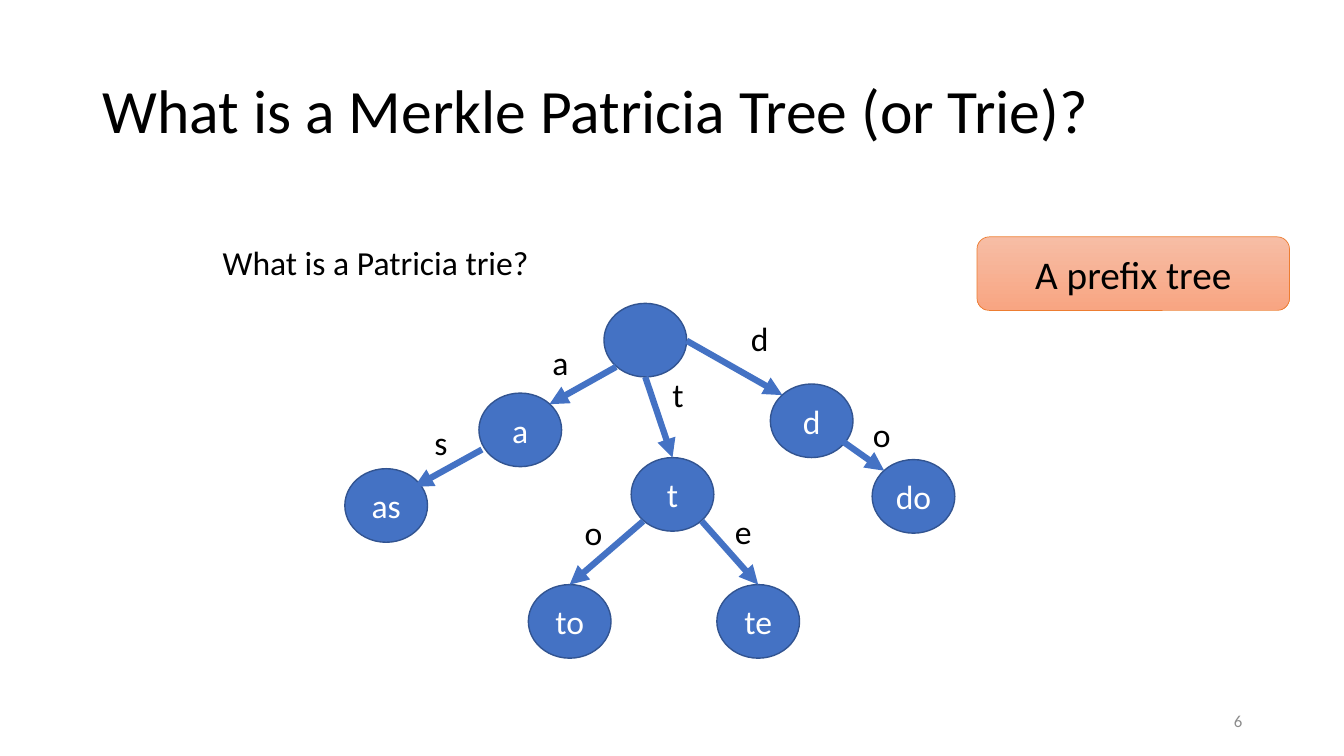
from lxml.etree import SubElement
from pptx import Presentation
from pptx.dml.color import RGBColor
from pptx.enum.shapes import MSO_CONNECTOR, MSO_SHAPE
from pptx.enum.text import MSO_ANCHOR, PP_ALIGN
from pptx.oxml.ns import qn
from pptx.util import Inches, Pt

BLUE, EDGE, BLACK, WHITE = "4472C4", "325491", "000000", "FFFFFF"
WIDE, HIGH = 0.82, 0.73

NODES = {
    "": (5.99, 3.01),
    "a": (4.75, 3.9),
    "t": (6.26, 4.54),
    "d": (7.64, 3.81),
    "as": (3.42, 4.65),
    "to": (5.24, 5.8),
    "te": (7.11, 5.8),
    "do": (8.65, 4.56),
}
SIDE_LINKS = [
    (6.11, 3.64, 5.45, 4.01),
    (6.81, 3.38, 7.76, 3.92),
    (4.78, 4.46, 4.11, 4.83),
    (8.36, 4.38, 8.77, 4.67),
]
TOP_LINKS = {"t": (6.4, 3.74), "to": (6.38, 5.17), "te": (6.96, 5.17)}
LABELS = [
    ("a", 5.38, 3.34, 0.36),
    ("t", 6.57, 3.66, 0.31),
    ("d", 7.35, 3.1, 0.38),
    ("s", 4.21, 4.14, 0.33),
    ("o", 5.7, 5.03, 0.42),
    ("e", 7.19, 5.02, 0.42),
    ("o", 8.56, 4.06, 0.38),
]


def paint(code):
    """Turn a hex string into a colour."""
    return RGBColor.from_string(code)


def write(shape, text, size=24, color=BLACK, align=PP_ALIGN.LEFT, **form):
    """Put one styled paragraph into a shape."""
    frame = shape.text_frame
    for key, value in form.items():
        setattr(frame, key, value)
    para = frame.paragraphs[0]
    para.alignment = align
    run = para.add_run()
    run.text = text
    for key, value in {"name": "Calibri", "size": Pt(size)}.items():
        setattr(run.font, key, value)
    run.font.color.rgb = paint(color)
    return para


def add_text(slide, text, left, top, width, height=0.5, **form):
    """Add a text box and return its paragraph."""
    box = slide.shapes.add_textbox(
        Inches(left), Inches(top), Inches(width), Inches(height))
    return write(box, text, **form)


def add_block(slide, kind, left, top, width, height, line, weight):
    """Add an outlined preset shape without a shadow."""
    shape = slide.shapes.add_shape(
        kind, Inches(left), Inches(top), Inches(width), Inches(height))
    shape.shadow.inherit = False
    shape.line.color.rgb = paint(line)
    shape.line.width = Pt(weight)
    return shape


def add_node(slide, text, left, top):
    """Add one round tree node."""
    node = add_block(slide, MSO_SHAPE.OVAL, left, top, WIDE, HIGH, EDGE, 1)
    node.fill.solid()
    node.fill.fore_color.rgb = paint(BLUE)
    if text:
        write(node, text, color=WHITE, align=PP_ALIGN.CENTER,
              vertical_anchor=MSO_ANCHOR.MIDDLE)
    return node


def add_arrow(slide, left, top, right, bottom):
    """Add a thick arrow between two points."""
    arrow = slide.shapes.add_connector(
        MSO_CONNECTOR.STRAIGHT,
        Inches(left), Inches(top), Inches(right), Inches(bottom))
    arrow.line.color.rgb = paint(BLUE)
    arrow.line.width = Pt(4.5)
    SubElement(arrow.line._get_or_add_ln(), qn("a:tailEnd"), type="triangle")
    SubElement(arrow._element.spPr, qn("a:effectLst"))
    return arrow


def add_badge(slide, text):
    """Add the rounded answer box with its gradient."""
    badge = add_block(slide, MSO_SHAPE.ROUNDED_RECTANGLE,
                      9.69, 2.35, 3.1, HIGH, "ED7D31", 0.5)
    badge.fill.gradient()
    badge.fill.gradient_angle = 270
    for stop, code in zip(badge.fill.gradient_stops, ("F7BDA5", "F8A582")):
        stop.color.rgb = paint(code)
    write(badge, text, size=28, align=PP_ALIGN.CENTER,
          vertical_anchor=MSO_ANCHOR.MIDDLE)


def main():
    """Build the prefix tree slide."""
    deck = Presentation()
    deck.slide_width, deck.slide_height = Inches(13.33), Inches(7.5)
    slide = deck.slides.add_slide(deck.slide_layouts[6])
    title = add_text(slide, "What is a Merkle Patricia Tree (or Trie)?",
                     0.92, 0.4, 11.5, 1.45, size=44, word_wrap=True,
                     vertical_anchor=MSO_ANCHOR.MIDDLE)
    title.line_spacing = 0.9
    add_text(slide, "6", 9.42, 6.95, 3, 0.4, size=12, color="8C8C8C",
             align=PP_ALIGN.RIGHT, word_wrap=True,
             vertical_anchor=MSO_ANCHOR.MIDDLE)
    add_text(slide, "What is a Patricia trie?", 2.11, 2.35, 3.26,
             word_wrap=False)
    nodes = {text: add_node(slide, text, *spot)
             for text, spot in NODES.items()}
    for ends in SIDE_LINKS:
        add_arrow(slide, *ends)
    for text, start in TOP_LINKS.items():
        add_arrow(slide, *start, *NODES[text]).end_connect(nodes[text], 0)
    for label in LABELS:
        add_text(slide, *label, word_wrap=False)
    add_badge(slide, "A prefix tree")
    deck.save("out.pptx")


if __name__ == "__main__":
    main()
